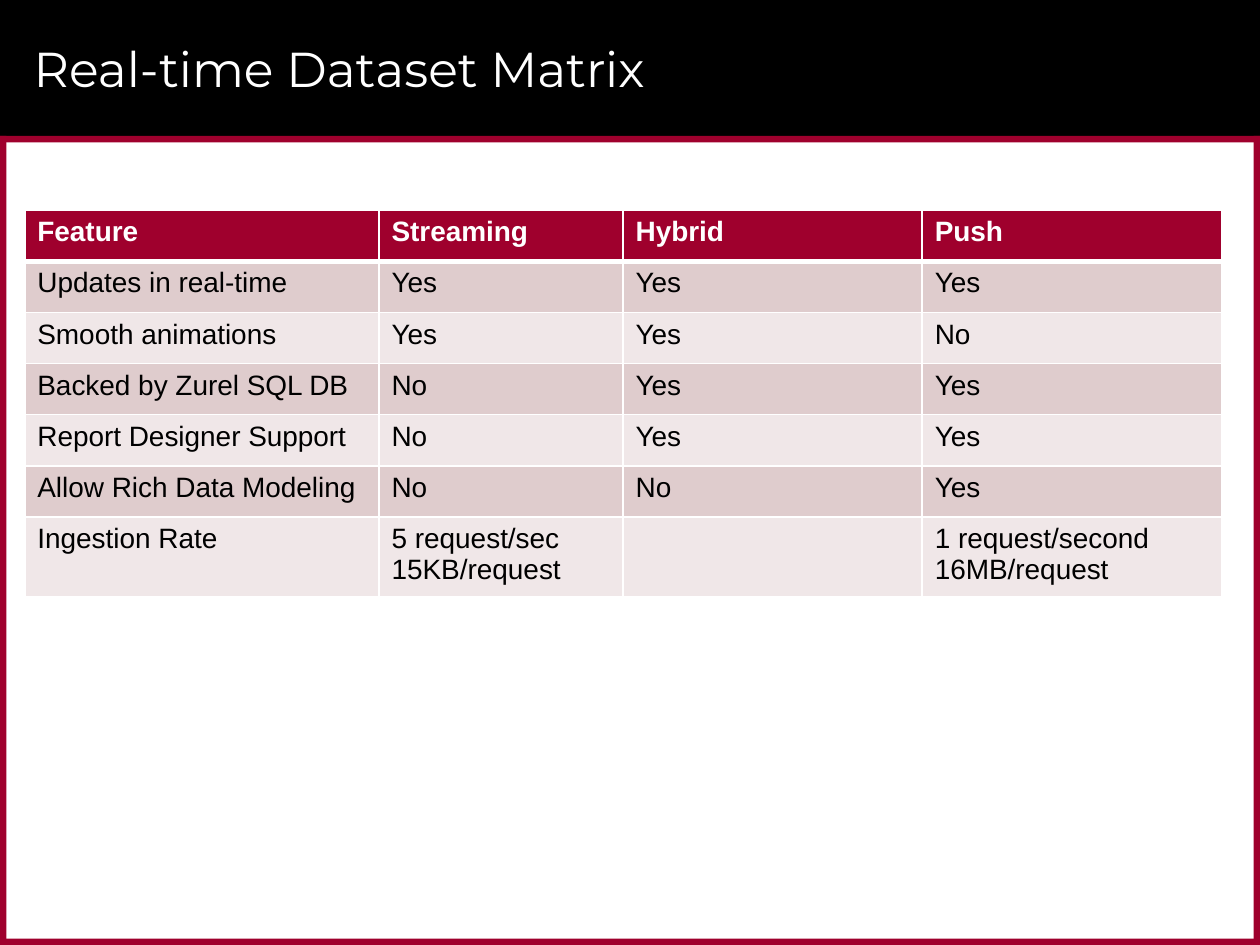
from dataclasses import dataclass

from lxml import etree
from pptx import Presentation
from pptx.dml.color import RGBColor
from pptx.enum.shapes import MSO_SHAPE
from pptx.enum.text import MSO_ANCHOR
from pptx.oxml.ns import qn
from pptx.util import Cm, Pt

RECT = MSO_SHAPE.RECTANGLE
MIDDLE = MSO_ANCHOR.MIDDLE

BLACK = RGBColor(0x00, 0x00, 0x00)
WHITE = RGBColor(0xFF, 0xFF, 0xFF)
RED = RGBColor(0x9F, 0x00, 0x2D)
ROSE = RGBColor(0xDF, 0xCC, 0xCD)
PALE = RGBColor(0xF0, 0xE7, 0xE8)

# Page measures in centimetres
WIDTH, HEIGHT = 25.4, 19.05
TOP, EDGE = 2.74, 0.13

COLS = (7.14, 4.92, 6.03, 6.03)
ROW, LAST = 1.03, 1.5
ROWS = (
    ("Feature", "Streaming", "Hybrid", "Push"),
    ("Updates in real-time", "Yes", "Yes", "Yes"),
    ("Smooth animations", "Yes", "Yes", "No"),
    ("Backed by Zurel SQL DB", "No", "Yes", "Yes"),
    ("Report Designer Support", "No", "Yes", "Yes"),
    ("Allow Rich Data Modeling", "No", "No", "Yes"),
    ("Ingestion Rate", "5 request/sec\n15KB/request", "",
     "1 request/second\n16MB/request"),
)

TITLE = {"name": "Montserrat", "size": Pt(28), "bold": False}
HEAD = {"name": "Arial", "size": Pt(16), "bold": True}
BODY = {**HEAD, "bold": False}


@dataclass
class Bar:
    left: float
    top: float
    width: float
    height: float
    fill: RGBColor = RED


BARS = (
    Bar(0, 0, WIDTH, TOP, BLACK),
    Bar(0, TOP, WIDTH, EDGE),
    Bar(0, HEIGHT - EDGE, WIDTH, EDGE),
    Bar(WIDTH - EDGE, TOP, EDGE, HEIGHT - TOP),
    Bar(0, TOP, EDGE, HEIGHT - TOP),
)


def draw_bar(slide, bar: Bar) -> None:
    shape = slide.shapes.add_shape(
        RECT, Cm(bar.left), Cm(bar.top), Cm(bar.width), Cm(bar.height))
    shape.shadow.inherit = False
    shape.fill.solid()
    shape.fill.fore_color.rgb = bar.fill
    shape.line.fill.background()


def write(frame, text: str, style: dict, color: RGBColor) -> None:
    frame.text = text
    for para in frame.paragraphs:
        for run in para.runs:
            for key, value in style.items():
                setattr(run.font, key, value)
            run.font.color.rgb = color


def add_lines(cell, base: int) -> None:
    """Give a cell white borders; base is the bottom width in points."""
    props = cell._tc.get_or_add_tcPr()
    for side, width in {"L": 1, "R": 1, "T": 1, "B": base}.items():
        line = etree.SubElement(props, qn(f"a:ln{side}"), w=str(Pt(width)))
        fill = etree.SubElement(line, qn("a:solidFill"))
        etree.SubElement(fill, qn("a:srgbClr"), val=str(WHITE))


def draw_table(slide) -> None:
    high = ROW * (len(ROWS) - 1) + LAST
    table = slide.shapes.add_table(
        len(ROWS), len(COLS), Cm(0.5), Cm(4.24), Cm(sum(COLS)), Cm(high)).table
    for col, width in zip(table.columns, COLS):
        col.width = Cm(width)
    for i, texts in enumerate(ROWS):
        table.rows[i].height = Cm(LAST if i == len(ROWS) - 1 else ROW)
        head = i == 0
        shade = RED if head else (ROSE if i % 2 else PALE)
        for j, text in enumerate(texts):
            cell = table.cell(i, j)
            add_lines(cell, 3 if head else 1)
            cell.fill.solid()
            cell.fill.fore_color.rgb = shade
            write(cell.text_frame, text, HEAD if head else BODY,
                  WHITE if head else BLACK)


def main() -> None:
    deck = Presentation()
    deck.slide_width, deck.slide_height = Cm(WIDTH), Cm(HEIGHT)
    slide = deck.slides.add_slide(deck.slide_layouts[6])

    # Title band and frame
    for bar in BARS:
        draw_bar(slide, bar)

    # Title
    box = slide.shapes.add_textbox(Cm(0.43), Cm(0.2), Cm(23.93), Cm(2.34))
    frame = box.text_frame
    frame.word_wrap = True
    frame.vertical_anchor = MIDDLE
    write(frame, "Real-time Dataset Matrix", TITLE, WHITE)

    # Feature matrix
    draw_table(slide)
    deck.save("out.pptx")


if __name__ == "__main__":
    main()
